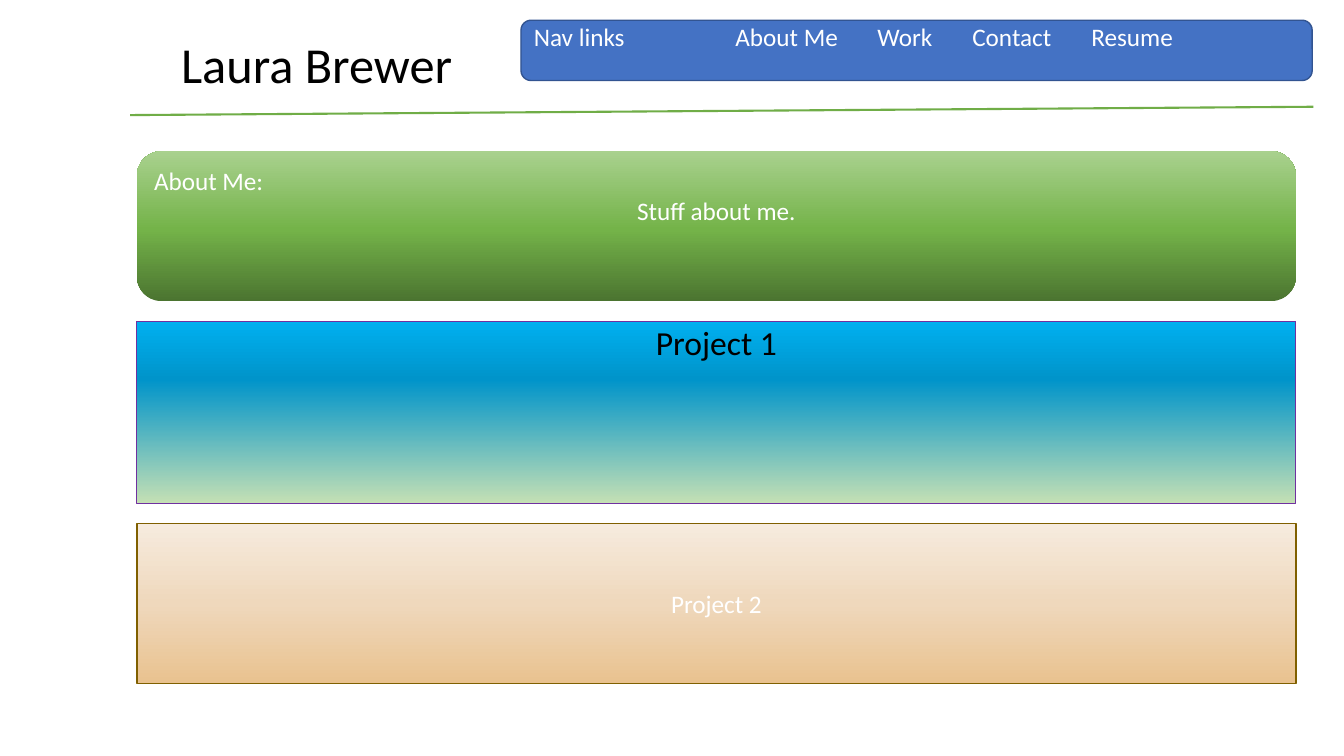
from dataclasses import dataclass

import lxml.etree
import pptx
import pptx.dml.color
import pptx.enum.shapes
import pptx.enum.text
import pptx.oxml.ns
import pptx.util

Cm = pptx.util.Cm
Pt = pptx.util.Pt
qn = pptx.oxml.ns.qn
Align = pptx.enum.text.PP_ALIGN
Anchor = pptx.enum.text.MSO_ANCHOR
Preset = pptx.enum.shapes.MSO_SHAPE


@dataclass(frozen=True)
class Theme:
    font: str = "Calibri"
    title_size: int = 36
    heading_size: int = 24
    body_size: int = 18
    dark: str = "000000"
    light: str = "FFFFFF"
    navigation: str = "4472C4"
    navigation_line: str = "325491"
    rule: str = "70AD47"
    project_one_line: str = "7030A0"
    project_two_line: str = "806000"
    about_gradient: tuple = ((0, "4B7430"), (48, "74B349"), (100, "A9D18E"))
    project_one_gradient: tuple = ((0, "C5E0B4"), (68, "0094CA"), (100, "00B0F0"))
    project_two_gradient: tuple = ((0, "E9C28F"), (50, "EFD8BC"), (100, "F6EBDE"))


THEME = Theme()
BAND_LEFT, BAND_WIDTH, BAND_GAP = 3.45, 29.21, 0.5
BANDS_TOP = 3.81
BAND_HEIGHTS = (3.78, 4.6, 4.04)
NAVIGATION_LINKS = ("Nav links", "About Me", "Work", "Contact", "Resume")
NAVIGATION_TABS = (5.08, 8.66, 11.05, 14.05)


def rgb(color):
    return pptx.dml.color.RGBColor.from_string(color)


def place(shape, left, top, width, height):
    shape.left, shape.top = Cm(left), Cm(top)
    shape.width, shape.height = Cm(width), Cm(height)


def set_line(shape, color, width):
    shape.line.color.rgb = rgb(color)
    shape.line.width = Pt(width)


def set_gradient(shape, stops):
    shape.fill.gradient()
    shape.fill.gradient_angle = 90
    stop_list = shape._element.spPr.find(".//" + qn("a:gsLst"))
    for stop in list(stop_list):
        stop_list.remove(stop)
    for position, color in stops:
        stop = lxml.etree.SubElement(stop_list, qn("a:gs"), pos=str(position * 1000))
        lxml.etree.SubElement(stop, qn("a:srgbClr"), val=color)


def write(shape, lines, size, color, anchor, line_spacing=1.0):
    frame = shape.text_frame
    frame.word_wrap = True
    frame.auto_size = pptx.enum.text.MSO_AUTO_SIZE.NONE
    frame.vertical_anchor = anchor
    for index, (text, alignment) in enumerate(lines):
        paragraph = frame.add_paragraph() if index else frame.paragraphs[0]
        paragraph.alignment = alignment
        paragraph.line_spacing = line_spacing
        paragraph.space_before = Pt(0)
        run = paragraph.add_run()
        run.text = text
        run.font.name = THEME.font
        run.font.size = Pt(size)
        run.font.color.rgb = rgb(color)


def add_panel(slide, preset, box):
    shape = slide.shapes.add_shape(preset, *(Cm(length) for length in box))
    shape.shadow.inherit = False
    return shape


def add_tab_stops(paragraph, positions):
    properties = paragraph._p.get_or_add_pPr()
    tab_list = lxml.etree.SubElement(properties, qn("a:tabLst"))
    for position in positions:
        lxml.etree.SubElement(tab_list, qn("a:tab"), pos=str(Cm(position)), algn="l")


def add_navigation(slide):
    bar = add_panel(slide, Preset.ROUNDED_RECTANGLE, (13.13, 0.51, 19.94, 1.52))
    bar.fill.solid()
    bar.fill.fore_color.rgb = rgb(THEME.navigation)
    set_line(bar, THEME.navigation_line, 1)
    write(bar, [("\t".join(NAVIGATION_LINKS), Align.LEFT)],
          THEME.body_size, THEME.light, Anchor.BOTTOM)
    bar.text_frame.margin_top = Cm(0)
    bar.text_frame.margin_bottom = Cm(0.66)
    add_tab_stops(bar.text_frame.paragraphs[0], NAVIGATION_TABS)


def add_rule(slide, start, end):
    rule = slide.shapes.add_connector(
        pptx.enum.shapes.MSO_CONNECTOR.STRAIGHT,
        *(Cm(length) for length in start + end))
    set_line(rule, THEME.rule, 1.5)
    lxml.etree.SubElement(rule._element.spPr, qn("a:effectLst"))


def band_boxes():
    boxes, top = [], BANDS_TOP
    for height in BAND_HEIGHTS:
        boxes.append((BAND_LEFT, top, BAND_WIDTH, height))
        top += height + BAND_GAP
    return boxes


def main():
    presentation = pptx.Presentation()
    presentation.slide_width, presentation.slide_height = Cm(33.87), Cm(19.05)
    slide = presentation.slides.add_slide(presentation.slide_layouts[0])
    about_box, project_one_box, project_two_box = band_boxes()

    title = slide.shapes.title
    place(title, 3.94, 0.81, 8.08, 1.7)
    write(title, [("Laura Brewer", Align.CENTER)],
          THEME.title_size, THEME.dark, Anchor.BOTTOM, 0.9)

    project_one = slide.placeholders[1]
    place(project_one, *project_one_box)
    set_gradient(project_one, THEME.project_one_gradient)
    set_line(project_one, THEME.project_one_line, 0.75)
    write(project_one, [("Project 1", Align.CENTER)],
          THEME.heading_size, THEME.dark, Anchor.TOP, 0.9)

    add_navigation(slide)
    add_rule(slide, (3.28, 2.9), (33.1, 2.69))

    about = add_panel(slide, Preset.ROUNDED_RECTANGLE, about_box)
    set_gradient(about, THEME.about_gradient)
    about.line.fill.background()
    write(about, [("About Me:", Align.LEFT), ("Stuff about me.", Align.CENTER)],
          THEME.body_size, THEME.light, Anchor.TOP)
    about.text_frame.margin_top = Cm(0.16)

    project_two = add_panel(slide, Preset.RECTANGLE, project_two_box)
    set_gradient(project_two, THEME.project_two_gradient)
    set_line(project_two, THEME.project_two_line, 1)
    write(project_two, [("Project 2", Align.CENTER)],
          THEME.body_size, THEME.light, Anchor.MIDDLE)

    presentation.save("out.pptx")


main()
